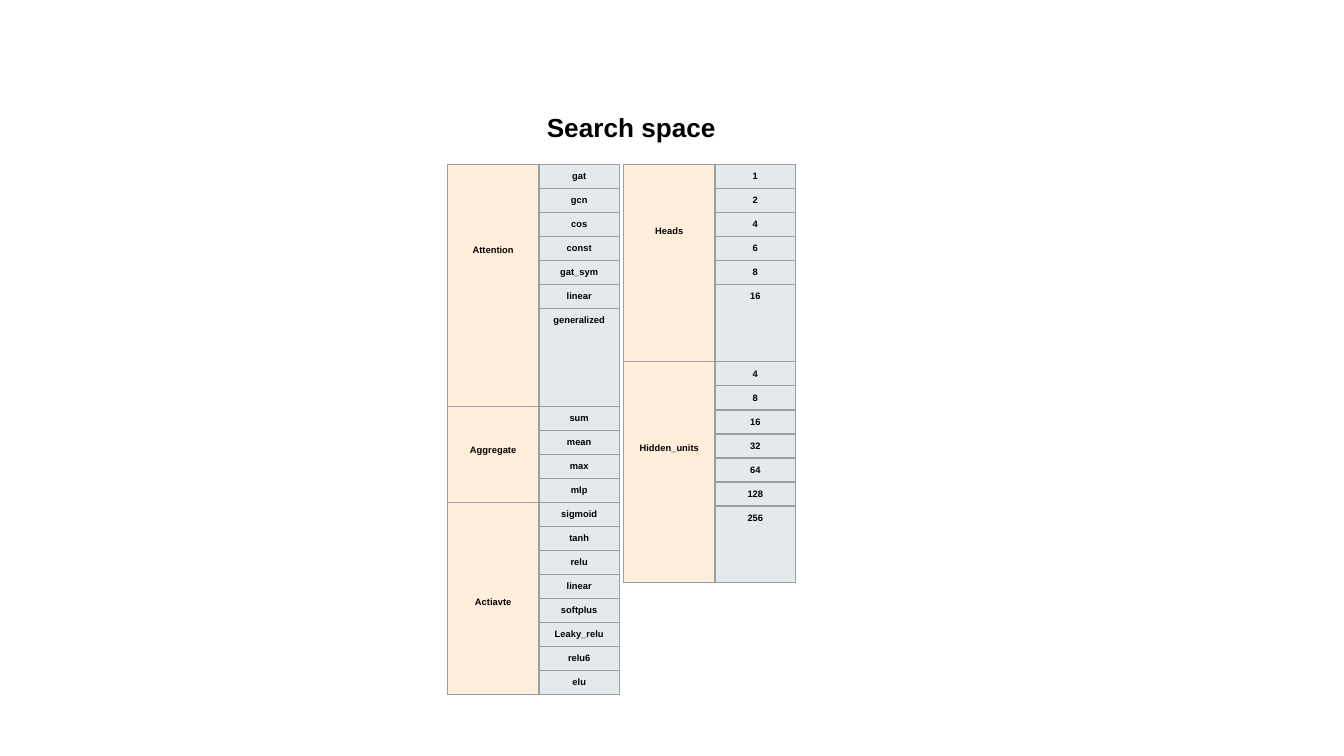
from lxml.etree import SubElement as Sub
from pptx import Presentation
from pptx.dml.color import RGBColor as Rgb
from pptx.enum.text import MSO_ANCHOR as Anchor, PP_ALIGN as Align
from pptx.oxml.ns import qn
from pptx.util import Inches, Pt

WIDTH = 10
HEIGHT = WIDTH * 9 / 16
COLORS = {"text": "000000", "label": "FFEED9", "value": "E4E9EB", "line": "9E9E9E"}
ROW = 1.25 / 7
COLS = (0.68, 0.6)
TOP = 11 / 9
LEFT = 3.33
STEP = sum(COLS) + 0.03

# Each group: label, values, height, upward shift of the label's centre
TABLES = [
    [
        ("Attention", "gat gcn cos const gat_sym linear generalized", 1.8, 0.26),
        ("Aggregate", "sum mean max mlp", 4 * ROW, 0.03),
        ("Actiavte", "sigmoid tanh relu linear softplus Leaky_relu relu6 elu",
         8 * ROW, -0.03),
    ],
    [
        ("Heads", "1 2 4 6 8 16", 1.47, 0.24),
        ("Hidden_units", "4 8 16 32 64 128 256", 1.64, 0.18),
    ],
]


def add_run(para, text, size):
    run = para.add_run()
    run.text = text
    font = run.font
    font.name, font.size, font.bold = "Arial", Pt(size), True
    font.color.rgb = Rgb.from_string(COLORS["text"])


def style_cell(cell, fill):
    """Draw the four borders, then fill the cell."""
    props = cell._tc.get_or_add_tcPr()
    for side in ("lnL", "lnR", "lnT", "lnB"):
        line = Sub(props, qn("a:" + side), w=str(Pt(0.75)))
        Sub(Sub(line, qn("a:solidFill")), qn("a:srgbClr"), val=COLORS["line"])
    cell.fill.solid()
    cell.fill.fore_color.rgb = Rgb.from_string(COLORS[fill])
    cell.margin_left = cell.margin_right = Inches(0.05)


def write_cell(cell, text):
    para = cell.text_frame.paragraphs[0]
    para.alignment = Align.CENTER
    add_run(para, text, 5)


def add_label(cell, text, lift):
    cell.vertical_anchor = Anchor.MIDDLE
    cell.margin_top = Inches(max(0, -2 * lift))
    cell.margin_bottom = Inches(max(0, 2 * lift))
    write_cell(cell, text)


def add_group(table, first, group):
    """Fill one group from row first on; its last row takes the spare height."""
    label, words, height, lift = group
    values = words.split()
    last = first + len(values) - 1
    for row, value in enumerate(values, first):
        table.rows[row].height = Inches(ROW)
        style_cell(table.cell(row, 0), "label")
        style_cell(table.cell(row, 1), "value")
        write_cell(table.cell(row, 1), value)
    table.rows[last].height = Inches(height - ROW * (len(values) - 1))
    table.cell(first, 0).merge(table.cell(last, 0))
    add_label(table.cell(first, 0), label, lift)
    return last + 1


def add_table(slide, left, groups):
    count = sum(len(group[1].split()) for group in groups)
    height = sum(group[2] for group in groups)
    table = slide.shapes.add_table(
        count, 2, Inches(left), Inches(TOP), Inches(sum(COLS)), Inches(height)
    ).table
    table.first_row = table.horz_banding = False
    for col, width in zip(table.columns, COLS):
        col.width = Inches(width)
    row = 0
    for group in groups:
        row = add_group(table, row, group)


def add_title(slide, text):
    box = slide.shapes.add_textbox(
        Inches(3.97), Inches(0.78), Inches(1.55), Inches(0.34))
    box.text_frame.word_wrap = True
    add_run(box.text_frame.paragraphs[0], text, 14)


def main():
    deck = Presentation()
    deck.slide_width, deck.slide_height = Inches(WIDTH), Inches(HEIGHT)
    slide = deck.slides.add_slide(deck.slide_layouts[6])
    for index, groups in enumerate(TABLES):
        add_table(slide, LEFT + index * STEP, groups)
    add_title(slide, "Search space")
    deck.save("out.pptx")


if __name__ == "__main__":
    main()
